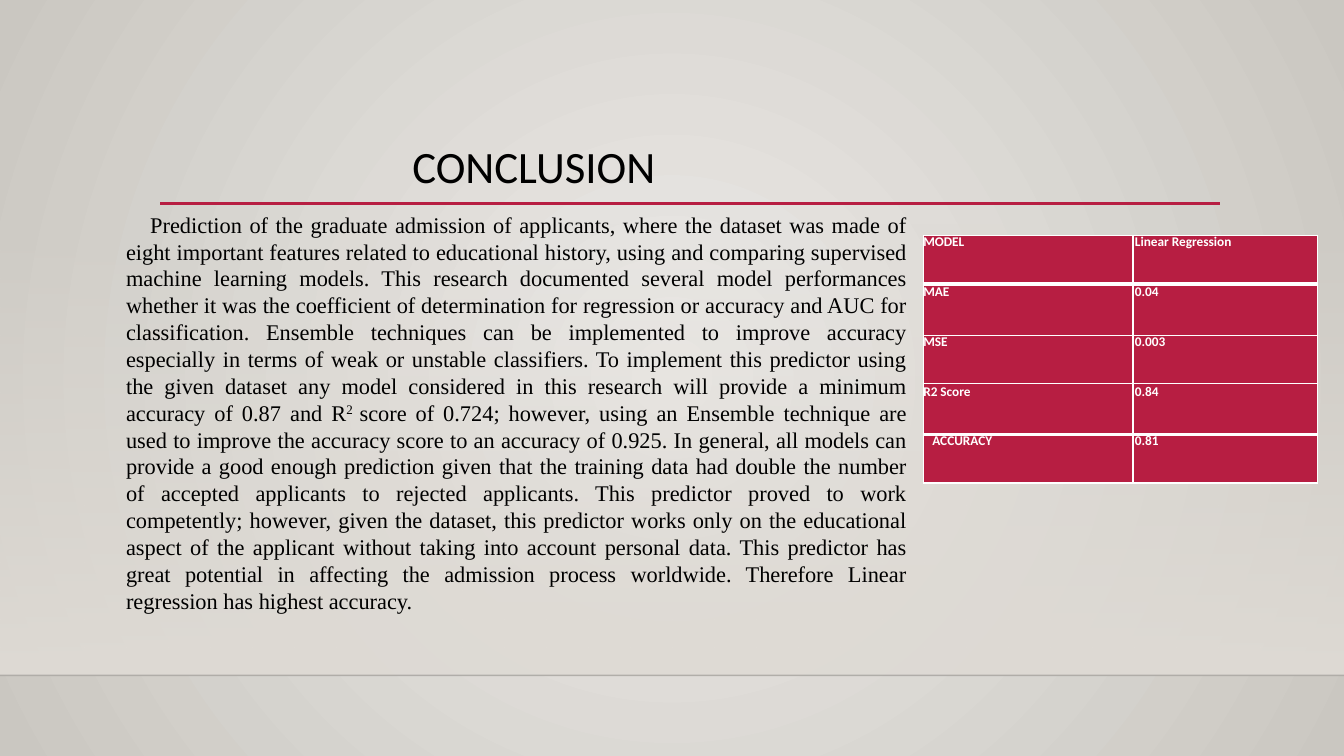
from lxml import etree
from pptx import Presentation
from pptx.dml.color import RGBColor
from pptx.enum.shapes import MSO_CONNECTOR, MSO_SHAPE
from pptx.enum.text import MSO_ANCHOR, PP_ALIGN
from pptx.oxml import parse_xml
from pptx.oxml.ns import nsdecls, qn
from pptx.util import Pt

CRIMSON = RGBColor(0xB7, 0x1E, 0x42)
BLACK = RGBColor(0, 0, 0)
WHITE = RGBColor(0xFF, 0xFF, 0xFF)
LIGHT = RGBColor(0xEC, 0xEA, 0xE7)
DARK = RGBColor(0xCA, 0xC7, 0xC1)
WALL = RGBColor(0xDF, 0xDB, 0xD5)


def add_alpha(color_parent, percent):
    color = color_parent.find(".//" + qn("a:srgbClr"))
    etree.SubElement(color, qn("a:alpha")).set("val", str(percent * 1000))


def add_rule(left, right, y, color, width):
    rule = slide.shapes.add_connector(
        MSO_CONNECTOR.STRAIGHT, Pt(left), Pt(y), Pt(right), Pt(y))
    rule.line.color.rgb = color
    rule.line.width = Pt(width)
    etree.SubElement(rule._element.spPr, qn("a:effectLst"))
    return rule


prs = Presentation()
prs.slide_width, prs.slide_height = Pt(960), Pt(540)
slide = prs.slides.add_slide(prs.slide_layouts[5])

# Background: radial gradient, light in the centre
backdrop = slide.background.fill
backdrop.gradient()
for stop, color, position in zip(backdrop.gradient_stops, (LIGHT, DARK), (0, 1)):
    stop.color.rgb = color
    stop.position = position
linear = slide._element.find(".//" + qn("a:lin"))
linear.getparent().replace(linear, parse_xml(
    f'<a:path {nsdecls("a")} path="circle">'
    '<a:fillToRect l="50000" t="50000" r="50000" b="50000"/></a:path>'))

# Wall fading in towards the floor line
wall = slide.shapes.add_shape(MSO_SHAPE.RECTANGLE, 0, Pt(159), Pt(960), Pt(323.4))
wall.shadow.inherit = False
wall.line.fill.background()
wall.fill.gradient()
wall.fill.gradient_angle = 270
for stop, position in zip(wall.fill.gradient_stops, (0, 1)):
    stop.color.rgb = WALL
    stop.position = position
add_alpha(wall._element.spPr.find(".//" + qn("a:gs")), 0)

floor = add_rule(0, 960, 482.4, BLACK, 1)
add_alpha(floor._element.spPr, 20)
add_rule(114.5, 871.2, 145.4, CRIMSON, 2.5)

# Title
title = slide.shapes.title
title.left, title.top, title.width, title.height = Pt(114.5), Pt(63.4), Pt(756), Pt(82.8)
heading = title.text_frame
heading.text = "CONCLUSION"
heading.vertical_anchor = MSO_ANCHOR.BOTTOM
heading.margin_left, heading.margin_bottom = Pt(180), Pt(8)
heading.paragraphs[0].alignment = PP_ALIGN.LEFT
heading.paragraphs[0].line_spacing = 0.9
heading_font = heading.paragraphs[0].runs[0].font
heading_font.name, heading_font.size = "Calibri", Pt(32)
heading_font.color.rgb = BLACK

# Table of scores
scores = [("MODEL", "Linear Regression"), ("MAE", "0.04"), ("MSE", "0.003"),
          ("R2 Score", "0.84"), ("ACCURACY", "0.81")]
last = len(scores) - 1
score_table = slide.shapes.add_table(
    len(scores), 2, Pt(659.5), Pt(168.5), Pt(281.5), Pt(176)).table
score_table.horz_banding = False
score_table.columns[0].width, score_table.columns[1].width = Pt(149.75), Pt(131.75)

for r, row in enumerate(scores):
    score_table.rows[r].height = Pt(36.5 if r % 2 else 34.5)
    borders = {"lnL": 1, "lnR": 1,
               "lnT": 3 if r in (1, last) else 1,
               "lnB": 3 if r in (0, last - 1) else 1}
    for c, text in enumerate(row):
        cell = score_table.cell(r, c)
        cell.margin_left = Pt(1.5 if c else 6.5 if r == last else 0)
        cell.margin_right = cell.margin_top = cell.margin_bottom = 0
        for side, width in borders.items():
            cell._tc.get_or_add_tcPr().append(parse_xml(
                f'<a:{side} {nsdecls("a")} w="{Pt(width)}"><a:solidFill>'
                f'<a:srgbClr val="{WHITE}"/></a:solidFill></a:{side}>'))
        cell.fill.solid()
        cell.fill.fore_color.rgb = CRIMSON
        cell.text_frame.text = text
        entry = cell.text_frame.paragraphs[0]
        entry.space_before = Pt(0.1)
        if r % 2 == 0:
            entry.line_spacing = Pt(10.3)
        font = entry.runs[0].font
        font.name, font.size, font.bold = "Calibri", Pt(9.5), True
        font.color.rgb = WHITE

# Concluding paragraph
summary = slide.shapes.add_textbox(Pt(75), Pt(147), Pt(603.5), Pt(298)).text_frame
summary.word_wrap = True
summary.margin_right = Pt(30.5)
conclusion = summary.paragraphs[0]
conclusion.alignment = PP_ALIGN.JUSTIFY
conclusion.space_before = Pt(6)
indents = conclusion._p.get_or_add_pPr()
indents.set("marL", str(Pt(8)))
indents.set("indent", str(Pt(17.25)))

passages = [
    ("Prediction of the graduate admission of applicants, where the dataset was made of "
     "eight important features related to educational history, using and comparing "
     "supervised machine learning models. This research documented several model "
     "performances whether it was the coefficient of determination for regression or "
     "accuracy and AUC for classification. Ensemble techniques can be implemented to "
     "improve accuracy especially in terms of weak or unstable classifiers. To implement "
     "this predictor using the given dataset any model considered in this research will "
     "provide a minimum accuracy of 0.87 and R", 0),
    ("2 ", 30),
    ("score of 0.724; however, using an Ensemble technique are used to improve the "
     "accuracy score to an accuracy of 0.925. In general, all models can provide a good "
     "enough prediction given that the training data had double the number of accepted "
     "applicants to rejected applicants. This predictor proved to work competently; "
     "however, given the dataset, this predictor works only on the educational aspect of "
     "the applicant without taking into account personal data. This predictor has great "
     "potential in affecting the admission process worldwide. Therefore Linear regression "
     "has highest accuracy.", 0),
]
for text, raised in passages:
    passage = conclusion.add_run()
    passage.text = text
    passage.font.name, passage.font.size = "Times New Roman", Pt(16)
    passage.font.color.rgb = BLACK
    if raised:
        passage._r.get_or_add_rPr().set("baseline", str(raised * 1000))

prs.save("out.pptx")
